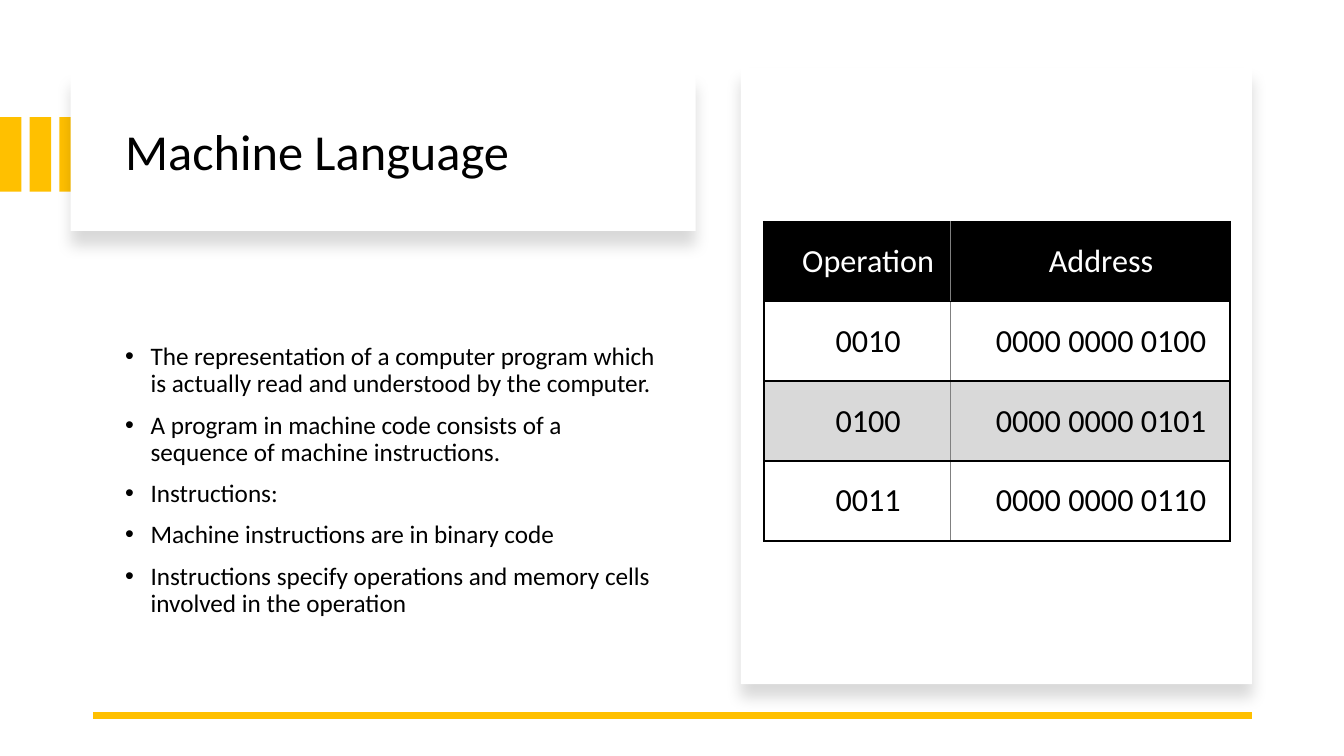
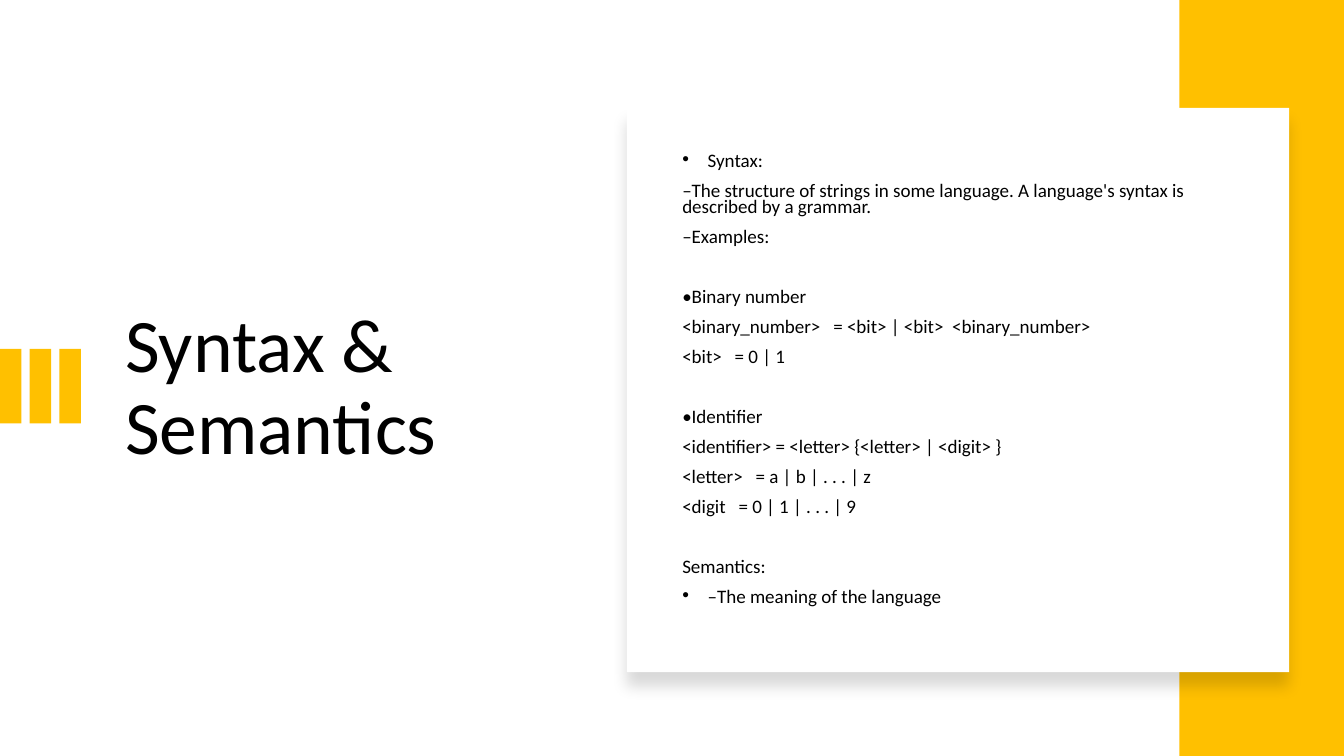
"""Build two slides on machine language, syntax and semantics."""
from dataclasses import dataclass

from lxml.etree import SubElement
from pptx import Presentation
from pptx.dml.color import RGBColor
from pptx.enum.shapes import MSO_CONNECTOR as Connector, MSO_SHAPE as Preset
from pptx.enum.text import MSO_ANCHOR as Anchor, MSO_AUTO_SIZE as AutoSize, PP_ALIGN as Align
from pptx.oxml.ns import qn
from pptx.util import Cm, Pt


@dataclass(frozen=True)
class Theme:
    font: str = "Calibri"
    ink: str = "000000"
    paper: str = "FFFFFF"
    accent: str = "FFC000"
    band: str = "D9D9D9"
    divider: str = "808080"
    heading: float = 36
    big_heading: float = 54
    body: float = 18
    small_body: float = 13.6
    cell: float = 23
    gap: float = 10
    wide_gap: float = 31.4


theme = Theme()


def apply_format(target, values):
    for name, value in values.items():
        setattr(target, name, value)


def add_block(page, frame, colour, raised=False):
    block = page.shapes.add_shape(Preset.RECTANGLE, *map(Cm, frame))
    block.fill.solid()
    block.fill.fore_color.rgb = RGBColor.from_string(colour)
    block.line.fill.background()
    block.shadow.inherit = False
    if raised:
        effects = block.element.spPr.find(qn("a:effectLst"))
        shadow = SubElement(effects, qn("a:outerShdw"), blurRad=str(Pt(11)), dist=str(Pt(10)),
                            dir="5400000", algn="t", rotWithShape="0")
        tint = SubElement(shadow, qn("a:srgbClr"), val=theme.ink)
        SubElement(tint, qn("a:alpha"), val="15000")


machine_points = [
    "The representation of a computer program which is actually read and understood by the computer.",
    "A program in machine code consists of a sequence of machine instructions.",
    "Instructions:",
    "Machine instructions are in binary code",
    "Instructions specify operations and memory cells involved in the operation",
]
syntax_points = [
    ("Syntax:", True, theme.gap),
    ("–The structure of strings in some language. A language's syntax is described by a grammar.",
     False, theme.gap),
    ("–Examples:", False, theme.gap),
    ("•Binary number", False, theme.wide_gap),
    ("<binary_number>   = <bit> | <bit>  <binary_number>", False, theme.gap),
    ("<bit>   = 0 | 1", False, theme.gap),
    ("•Identifier", False, theme.wide_gap),
    ("<identifier> = <letter> {<letter> | <digit> }", False, theme.gap),
    ("<letter>   = a | b | . . . | z", False, theme.gap),
    ("<digit   = 0 | 1 | . . . | 9", False, theme.gap),
    ("Semantics:", False, theme.wide_gap),
    ("–The meaning of the language", True, theme.gap),
]
slides = [
    {
        "title": ("Machine Language", (2.9, 2.44, 14.05, 2.87), theme.heading),
        "body": ([(text, True, theme.gap) for text in machine_points],
                 (2.9, 7.01, 13.87, 10.21), theme.body, 0.9),
        "tabs_top": 2.95,
        "panels": [],
        "cards": [(1.78, 1.83, 15.75, 3.99), (18.67, 1.7, 12.88, 15.54)],
    },
    {
        "title": ("Syntax & Semantics", (2.9, 3.71, 10.82, 12.17), theme.big_heading),
        "body": (syntax_points, (16.94, 3.5, 14.6, 12.17), theme.small_body, 0.7),
        "tabs_top": 8.79,
        "panels": [(29.72, 0, 4.15, 19.05)],
        "cards": [(15.8, 2.72, 16.69, 14.22)],
    },
]

deck = Presentation()
apply_format(deck, {"slide_width": Cm(33.87), "slide_height": Cm(19.05)})

for content in slides:
    page = deck.slides.add_slide(deck.slide_layouts[1])
    for index in range(3):
        add_block(page, (index * 0.75, content["tabs_top"], 0.54, 1.88), theme.accent)
    for frame in content["panels"]:
        add_block(page, frame, theme.accent)
    for frame in content["cards"]:
        add_block(page, frame, theme.paper, raised=True)

    heading, heading_frame, heading_size = content["title"]
    texts = [
        (page.shapes.title, [(heading, False, 0)], heading_frame, heading_size, 0.9),
        (page.placeholders[1], *content["body"]),
    ]
    for holder, entries, frame, size, spacing in texts:
        page.shapes.element.append(holder.element)
        apply_format(holder, dict(zip(("left", "top", "width", "height"), map(Cm, frame))))
        box = holder.text_frame
        apply_format(box, {"word_wrap": True, "auto_size": AutoSize.NONE,
                           "vertical_anchor": Anchor.MIDDLE})
        for index, (text, bulleted, gap) in enumerate(entries):
            para = box.add_paragraph() if index else box.paragraphs[0]
            layout = para._p.get_or_add_pPr()
            indent = Cm(0.64) if bulleted else 0
            layout.set("marL", str(indent))
            layout.set("indent", str(-indent))
            if bulleted:
                SubElement(layout, qn("a:buFont"), typeface="Arial")
                SubElement(layout, qn("a:buChar"), char="•")
            else:
                SubElement(layout, qn("a:buNone"))
            apply_format(para, {"alignment": Align.LEFT, "line_spacing": spacing,
                                "space_before": Pt(gap if index else 0), "space_after": Pt(0)})
            span = para.add_run()
            span.text = text
            apply_format(span.font, {"name": theme.font, "size": Pt(size)})
            span.font.color.rgb = RGBColor.from_string(theme.ink)

page = deck.slides[0]
rule = page.shapes.add_connector(Connector.STRAIGHT, Cm(31.55), Cm(18.03), Cm(2.34), Cm(18.03))
rule.line.width = Pt(4.5)
rule.line.color.rgb = RGBColor.from_string(theme.accent)
SubElement(rule.element.spPr, qn("a:effectLst"))

rows = [
    ("Operation", "Address"),
    ("0010", "0000 0000 0100"),
    ("0100", "0000 0000 0101"),
    ("0011", "0000 0000 0110"),
]
row_colours = [(theme.ink, theme.paper), (theme.paper, theme.ink),
               (theme.band, theme.ink), (theme.paper, theme.ink)]
outer, inner = (theme.ink, 1.5), (theme.divider, 0.5)
table = page.shapes.add_table(len(rows), 2, Cm(19.25), Cm(5.59), Cm(11.74), Cm(8.04)).table
table.horz_banding = False
for column, width in zip(table.columns, (4.7, 7.04)):
    column.width = Cm(width)
for row_index, (values, (fill, ink)) in enumerate(zip(rows, row_colours)):
    table.rows[row_index].height = Cm(2.01)
    for column_index, value in enumerate(values):
        cell = table.cell(row_index, column_index)
        apply_format(cell, {"margin_left": Cm(0.56), "margin_right": 0, "margin_top": Cm(0.43),
                            "margin_bottom": Cm(0.43), "vertical_anchor": Anchor.MIDDLE})
        edges = {"lnL": inner if column_index else outer, "lnR": outer if column_index else inner,
                 "lnT": outer, "lnB": outer}
        for edge, (colour, points) in edges.items():
            line = SubElement(cell._tc.get_or_add_tcPr(), qn(f"a:{edge}"), w=str(Pt(points)))
            SubElement(SubElement(line, qn("a:solidFill")), qn("a:srgbClr"), val=colour)
        cell.fill.solid()
        cell.fill.fore_color.rgb = RGBColor.from_string(fill)
        para = cell.text_frame.paragraphs[0]
        para.alignment = Align.CENTER
        span = para.add_run()
        span.text = value
        apply_format(span.font, {"name": theme.font, "size": Pt(theme.cell), "bold": False})
        span.font.color.rgb = RGBColor.from_string(ink)

deck.save("out.pptx")
